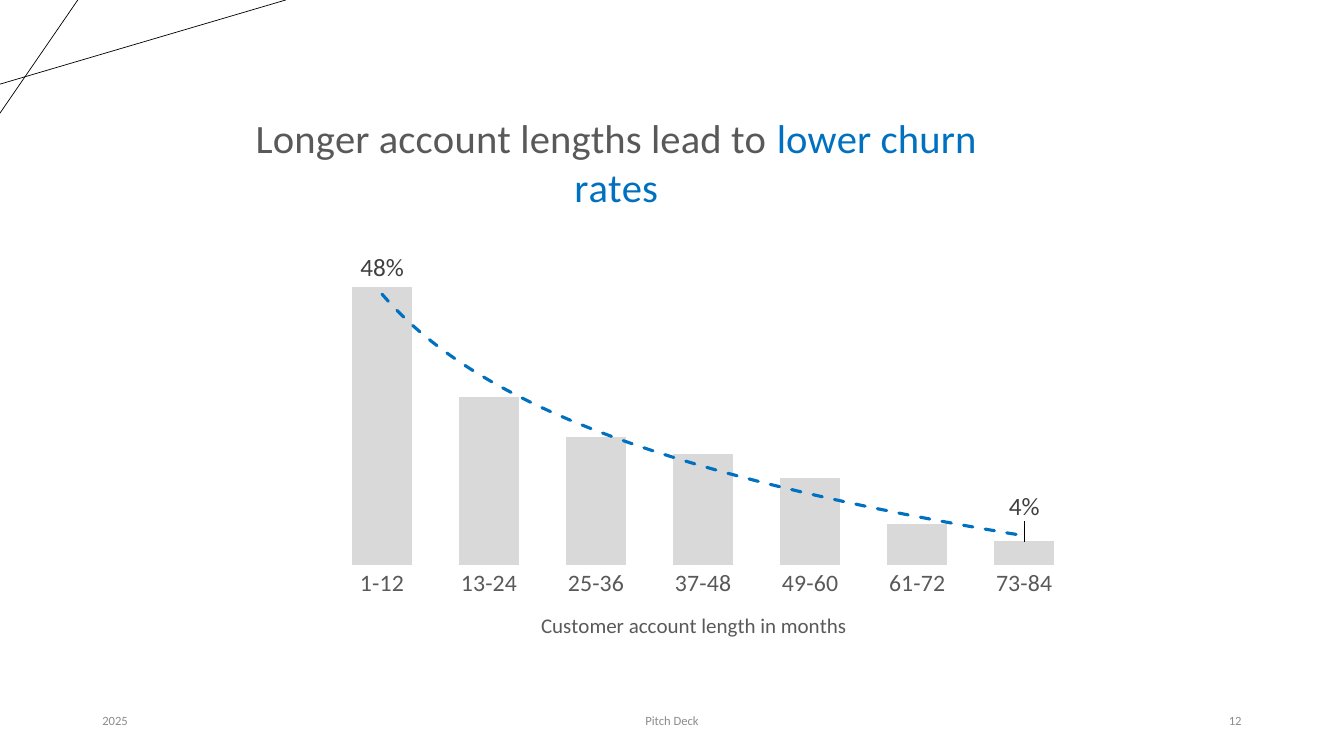
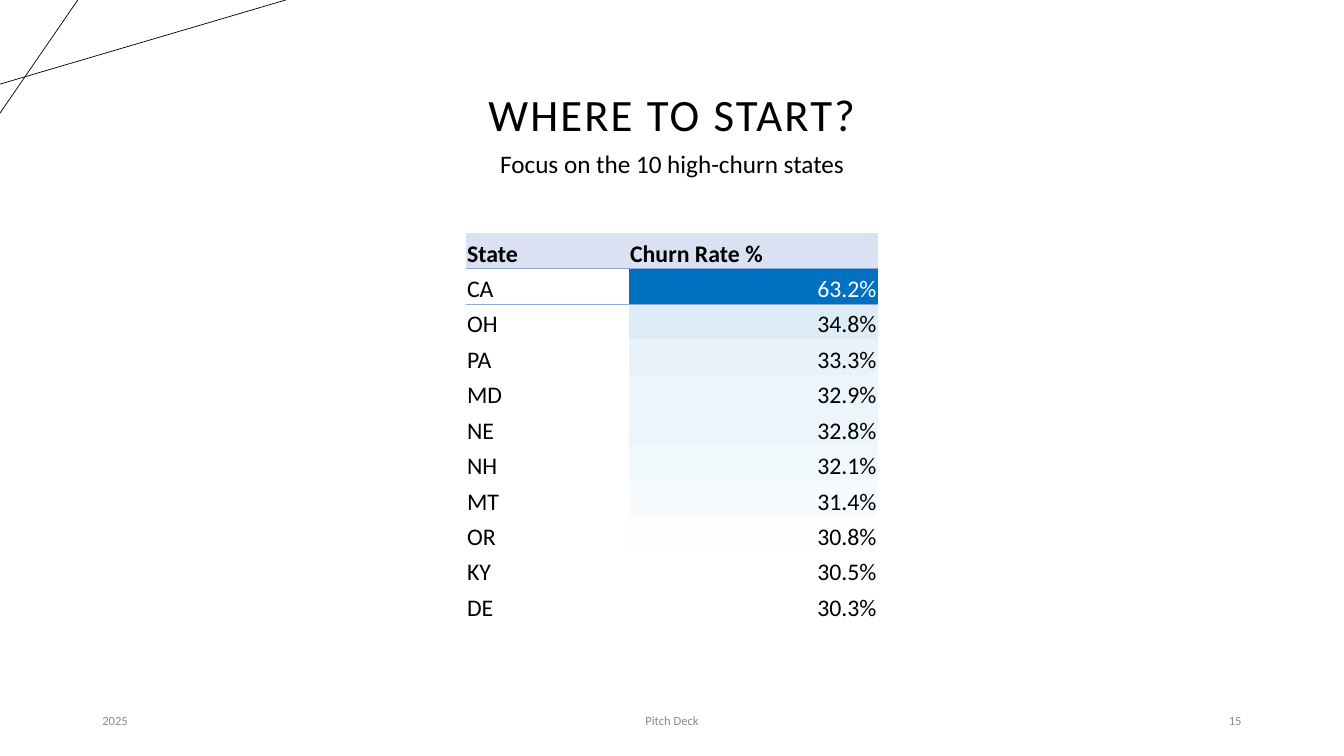
from lxml import etree
from pptx import Presentation
from pptx.chart.data import CategoryChartData
from pptx.dml.color import RGBColor
from pptx.enum.chart import XL_CHART_TYPE, XL_LABEL_POSITION as LABEL, XL_TICK_MARK as TICK
from pptx.enum.shapes import MSO_CONNECTOR
from pptx.enum.text import MSO_ANCHOR as ANCHOR, MSO_AUTO_SIZE, PP_ALIGN as ALIGN
from pptx.oxml import parse_xml
from pptx.oxml.ns import nsdecls, qn
from pptx.util import Cm, Pt

COLORS = {name: RGBColor.from_string(value) for name, value in {
    "black": "000000", "white": "FFFFFF", "footer": "8C8C8C",
    "text": "595959", "label": "404040", "bar": "D9D9D9",
    "accent": "0070C0", "header": "D9E1F2"}.items()}
RULE = "8EA9DB"
FONT = "Calibri"


def style(font, size, color, bold=False):
    font.name, font.size, font.bold = FONT, Pt(size), bold
    font.color.rgb = COLORS[color]


def place(parent, index, x, y, extra=""):
    """Give a chart part a manual layout, in fractions of the chart."""
    for old in parent.findall(qn("c:layout")):
        parent.remove(old)
    parent.insert(index, parse_xml(
        f'<c:layout {nsdecls("c")}><c:manualLayout>{extra}'
        f'<c:x val="{x}"/><c:y val="{y}"/></c:manualLayout></c:layout>'))


prs = Presentation()
prs.slide_width, prs.slide_height = Cm(33.87), Cm(19.05)
churn_slide = prs.slides.add_slide(prs.slide_layouts[6])
states_slide = prs.slides.add_slide(prs.slide_layouts[5])

# Shared corner lines and footers
for s, number in ((churn_slide, "12"), (states_slide, "15")):
    for x1, y1, x2, y2 in ((0, 2.12, 7.2, 0), (1.96, 0, 0, 2.85)):
        line = s.shapes.add_connector(MSO_CONNECTOR.STRAIGHT, Cm(x1), Cm(y1), Cm(x2), Cm(y2))
        line.line.color.rgb = COLORS["black"]
        line.line.width = Pt(0.5)
        etree.SubElement(line._element.spPr, qn("a:effectLst"))
    for left, width, text, align in ((2.33, 7.62, "2025", ALIGN.LEFT),
                                     (11.22, 11.43, "Pitch Deck", ALIGN.CENTER),
                                     (23.92, 7.62, number, ALIGN.RIGHT)):
        tf = s.shapes.add_textbox(Cm(left), Cm(17.66), Cm(width), Cm(1.01)).text_frame
        tf.word_wrap, tf.vertical_anchor = True, ANCHOR.MIDDLE
        p = tf.paragraphs[0]
        p.text, p.alignment = text, align
        style(p.font, 9, "footer")

# Churn chart
data = CategoryChartData(number_format="0%")
data.categories = ["1-12", "13-24", "25-36", "37-48", "49-60", "61-72", "73-84"]
data.add_series("Series 1", (0.48, 0.29, 0.22, 0.19, 0.15, 0.07, 0.04))
chart = churn_slide.shapes.add_chart(XL_CHART_TYPE.COLUMN_CLUSTERED, Cm(5.89), Cm(2.64),
                                     Cm(23.9), Cm(13.61), data).chart
style(chart.font, 10, "black")
chart.has_legend = False

# Chart title
chart.has_title = True
p = chart.chart_title.text_frame.paragraphs[0]
for text, color in (("Longer account lengths lead to ", "text"), ("lower churn rates", "accent")):
    r = p.add_run()
    r.text = text
    style(r.font, 29, color)
place(chart.chart_title._element, 1, 0.02, 0.01,
      '<c:xMode val="edge"/><c:yMode val="edge"/>')

# Axes
axis = chart.category_axis
axis.major_tick_mark = axis.minor_tick_mark = TICK.NONE
axis.format.line.fill.background()
style(axis.tick_labels.font, 17, "text")
axis.has_title = True
p = axis.axis_title.text_frame.paragraphs[0]
p.text = "Customer account length in months"
style(p.font, 15, "text")
place(axis.axis_title._element, 1, 0.32, 0.94,
      '<c:xMode val="edge"/><c:yMode val="edge"/>')
values = chart.value_axis
values.visible = values.has_major_gridlines = False
values.minimum_scale, values.maximum_scale = 0, 0.6

# Columns, with labels on the first and last only
plot = chart.plots[0]
plot.gap_width, plot.overlap, plot.vary_by_categories = 79, -27, False
series = plot.series[0]
series.format.fill.solid()
series.format.fill.fore_color.rgb = COLORS["bar"]
series.data_labels.show_value = False
for i in (0, 6):
    label = series.points[i].data_label
    style(label.font, 18, "label")
    label.position = LABEL.OUTSIDE_END
ser = series._element
place(ser.xpath(".//c:dLbl")[-1], 1, 0, -0.03)

# Logarithmic trend line
ser.find(qn("c:cat")).addprevious(parse_xml(
    f'<c:trendline {nsdecls("c", "a")}><c:spPr><a:ln w="{Pt(2.25)}" cap="rnd"><a:solidFill>'
    f'<a:srgbClr val="{COLORS["accent"]}"/></a:solidFill><a:prstDash val="dash"/></a:ln></c:spPr>'
    '<c:trendlineType val="log"/><c:dispRSqr val="0"/><c:dispEq val="0"/></c:trendline>'))

# Plot area
place(chart._chartSpace.chart.plotArea, 0, 0.1, 0.21,
      '<c:layoutTarget val="inner"/><c:xMode val="edge"/><c:yMode val="edge"/>')
area = chart._chartSpace.chart.plotArea.find(qn("c:layout"))[0]
for tag, size in (("c:w", "0.79"), ("c:h", "0.65")):
    etree.SubElement(area, qn(tag)).set("val", size)

# States title and subtitle
title = states_slide.shapes.title
title.left, title.top, title.width, title.height = Cm(2.33), Cm(1.98), Cm(29.21), Cm(1.96)
tf = title.text_frame
tf.auto_size, tf.vertical_anchor = MSO_AUTO_SIZE.NONE, ANCHOR.MIDDLE
p = tf.paragraphs[0]
r = p.add_run()
r.text = "WHERE TO START?"
r._r.get_or_add_rPr().set("spc", "150")
p.alignment, p.line_spacing = ALIGN.CENTER, 0.9
style(p.font, 32, "black")

tf = states_slide.shapes.add_textbox(Cm(7.54), Cm(3.71), Cm(18.8), Cm(1.37)).text_frame
tf.word_wrap = True
p = tf.paragraphs[0]
p.text = "Focus on the 10 high-churn states"
p.alignment, p.line_spacing = ALIGN.CENTER, 0.9
style(p.font, 18, "black")

# States table
rows = [("State", "Churn Rate %", "D9E1F2"),
        ("CA", "63.2%", "0070C0"), ("OH", "34.8%", "DDECF7"),
        ("PA", "33.3%", "E8F2FA"), ("MD", "32.9%", "ECF5FB"),
        ("NE", "32.8%", "ECF5FB"), ("NH", "32.1%", "F1F8FC"),
        ("MT", "31.4%", "F7FBFD"), ("OR", "30.8%", "FCFEFF"),
        ("KY", "30.5%", "FEFFFF"), ("DE", "30.3%", "FFFFFF")]
table = states_slide.shapes.add_table(len(rows), 2, Cm(11.74), Cm(5.87),
                                      Cm(10.38), Cm(9.83)).table
table.horz_banding = False
table._tbl.tblPr.find(qn("a:tableStyleId")).text = "{2D5ABB26-0587-4C30-8999-92F81FD0307C}"
table.columns[0].width, table.columns[1].width = Cm(4.11), Cm(6.27)
for i, (state, rate, shade) in enumerate(rows):
    table.rows[i].height = Cm(9.83 / len(rows))
    for j, text in enumerate((state, rate)):
        cell = table.cell(i, j)
        cell.vertical_anchor = ANCHOR.BOTTOM
        cell.margin_left = cell.margin_right = cell.margin_top = Cm(0.03)
        cell.margin_bottom = 0
        p = cell.text_frame.paragraphs[0]
        p.text = text
        p.alignment = ALIGN.RIGHT if i and j else ALIGN.LEFT
        style(p.font, 17, "white" if (i, j) == (1, 1) else "black", bold=i == 0)
        if i == 0 or j == 1:
            cell.fill.solid()
            cell.fill.fore_color.rgb = RGBColor.from_string(shade)
        else:
            cell.fill.background()
        if i < 2:
            side = "lnT" if i else "lnB"
            cell._tc.get_or_add_tcPr().insert(0, parse_xml(
                f'<a:{side} {nsdecls("a")} w="{Pt(0.5)}"><a:solidFill>'
                f'<a:srgbClr val="{RULE}"/></a:solidFill></a:{side}>'))

prs.save("out.pptx")
